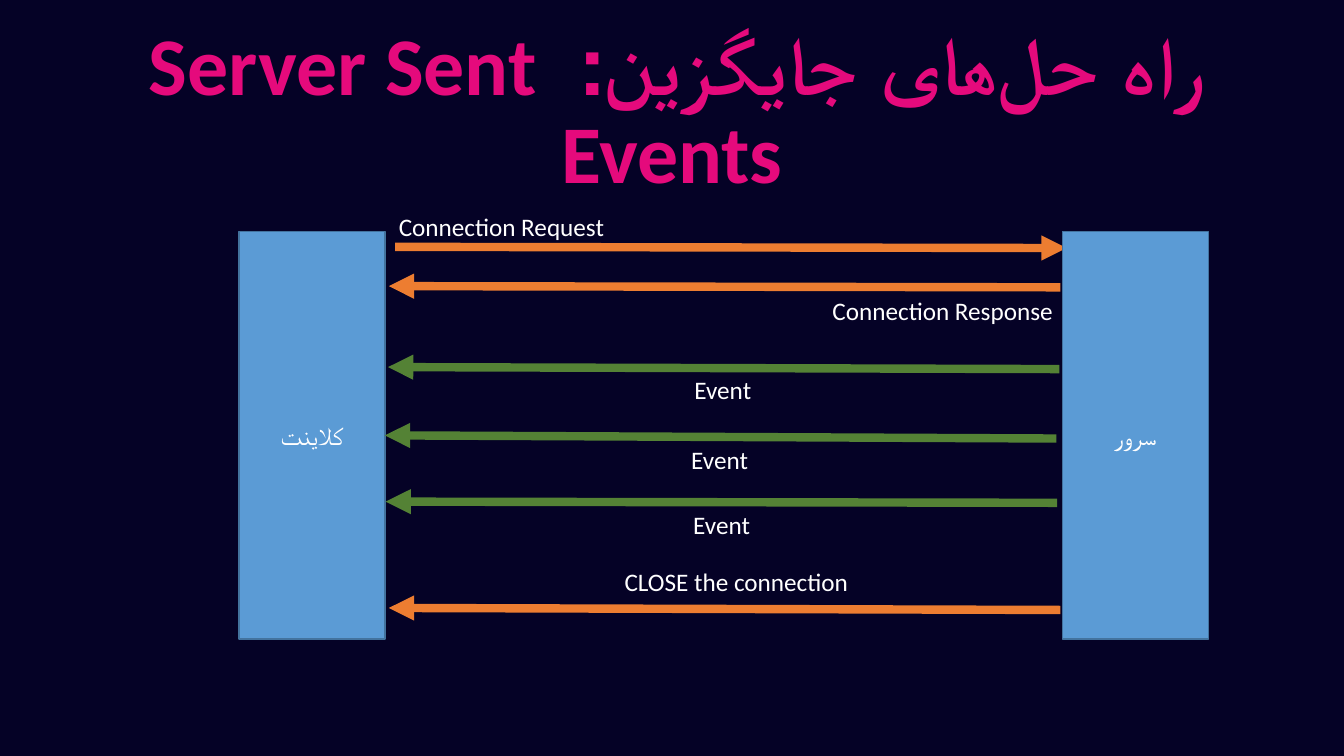
from dataclasses import dataclass

from lxml.etree import SubElement
from pptx import Presentation
from pptx.dml.color import RGBColor
from pptx.enum.shapes import MSO_CONNECTOR as Conn, MSO_SHAPE as Kind
from pptx.enum.text import MSO_ANCHOR as Anchor, MSO_AUTO_SIZE as Auto, PP_ALIGN as Align
from pptx.oxml.ns import qn
from pptx.shapes.autoshape import Shape
from pptx.slide import Slide
from pptx.text.text import TextFrame
from pptx.util import Cm, Pt

ORANGE, GREEN, WHITE = "ED7D31", "548235", "FFFFFF"
SPAN = 16.92  # arrow length
JOINER = chr(0x200C)  # zero-width non-joiner of Persian spelling


@dataclass
class Label:
    text: str
    x: float
    y: float
    width: float


@dataclass
class Message:
    start: float
    y: float
    drop: float
    step: int  # 1 to the server, -1 to the client
    color: str
    label: Label


OPENING = [
    Message(9.96, 6.22, 0.03, 1, ORANGE, Label("Connection Request", 9.8, 5.21, 5.77)),
    Message(26.72, 7.24, -0.03, -1, ORANGE, Label("Connection Response", 20.73, 7.32, 6.15)),
]
MIDDLE = Message(26.62, 11.05, -0.05, -1, GREEN, Label("Event", 17.17, 11.07, 1.96))
STREAM = [
    Message(26.7, 9.3, -0.05, -1, GREEN, Label("Event", 17.25, 9.32, 1.96)),
    Message(26.64, 12.67, -0.03, -1, GREEN, Label("Event", 17.22, 12.7, 1.96)),
    Message(26.72, 15.37, -0.05, -1, ORANGE, Label("CLOSE the connection", 15.49, 14.15, 6.22)),
]


def rgb(code: str) -> RGBColor:
    return RGBColor.from_string(code)


def write(frame: TextFrame, text: str, size: float = 18, color: str = WHITE,
          bold: bool = False, align: Align = Align.LEFT) -> None:
    frame.text = text
    par = frame.paragraphs[0]
    par.alignment = align
    font = par.runs[0].font
    font.name, font.size, font.bold = "Calibri", Pt(size), bold
    font.color.rgb = rgb(color)


def add_title(slide: Slide, text: str) -> None:
    title = slide.shapes.title
    title.left, title.top, title.width, title.height = Cm(2.33), Cm(1.01), Cm(29.21), Cm(3.68)
    frame = title.text_frame
    write(frame, text, 58.5, "E50A7C", True, Align.CENTER)
    frame.word_wrap, frame.auto_size = True, Auto.NONE
    frame.vertical_anchor = Anchor.MIDDLE
    par = frame.paragraphs[0]
    par.line_spacing = 0.9
    par._p.get_or_add_pPr().set("rtl", "1")


def add_party(slide: Slide, name: str, left: float) -> Shape:
    box = slide.shapes.add_shape(Kind.RECTANGLE, Cm(left), Cm(5.84), Cm(3.68), Cm(10.26))
    box.shadow.inherit = False
    box.fill.solid()
    box.fill.fore_color.rgb = rgb("5B9BD5")
    box.line.color.rgb = rgb("43739E")
    box.line.width = Pt(1)
    write(box.text_frame, name, align=Align.CENTER)
    box.text_frame.vertical_anchor = Anchor.MIDDLE
    return box


def add_message(slide: Slide, msg: Message, target: Shape | None = None) -> None:
    """Draw an arrow with its label; a target is joined at its right side."""
    arrow = slide.shapes.add_connector(
        Conn.STRAIGHT, Cm(msg.start), Cm(msg.y),
        Cm(msg.start + msg.step * SPAN), Cm(msg.y + msg.drop))
    if target is not None:
        arrow.end_connect(target, 3)
    arrow.line.color.rgb = rgb(msg.color)
    arrow.line.width = Pt(6)
    props = arrow.element.spPr
    SubElement(props.find(qn("a:ln")), qn("a:tailEnd"), type="triangle")
    SubElement(props, qn("a:effectLst"))

    label = msg.label
    box = slide.shapes.add_textbox(Cm(label.x), Cm(label.y), Cm(label.width), Cm(1.03))
    write(box.text_frame, label.text)
    box.text_frame.word_wrap = False
    box.text_frame.auto_size = Auto.SHAPE_TO_FIT_TEXT


def main() -> None:
    deck = Presentation()
    deck.slide_width, deck.slide_height = Cm(33.87), Cm(19.05)
    slide = deck.slides.add_slide(deck.slide_layouts[5])
    back = slide.background.fill
    back.solid()
    back.fore_color.rgb = rgb("050226")

    add_title(slide, f"راه حل{JOINER}های جایگزین:  Server Sent Events")
    for msg in OPENING:
        add_message(slide, msg)
    client = add_party(slide, "کلاینت", 6.02)
    add_party(slide, "سرور", 26.77)
    for msg in STREAM:
        add_message(slide, msg)
    add_message(slide, MIDDLE, client)
    deck.save("out.pptx")


if __name__ == "__main__":
    main()
